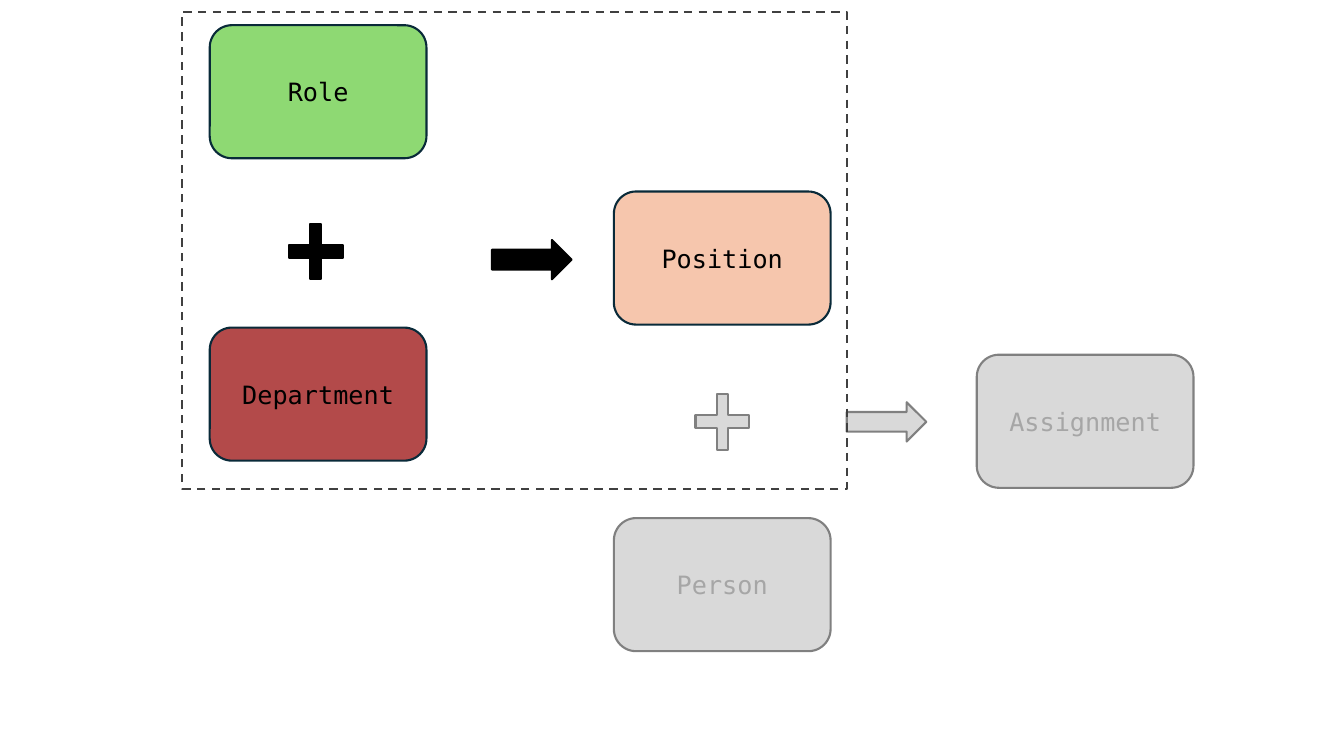
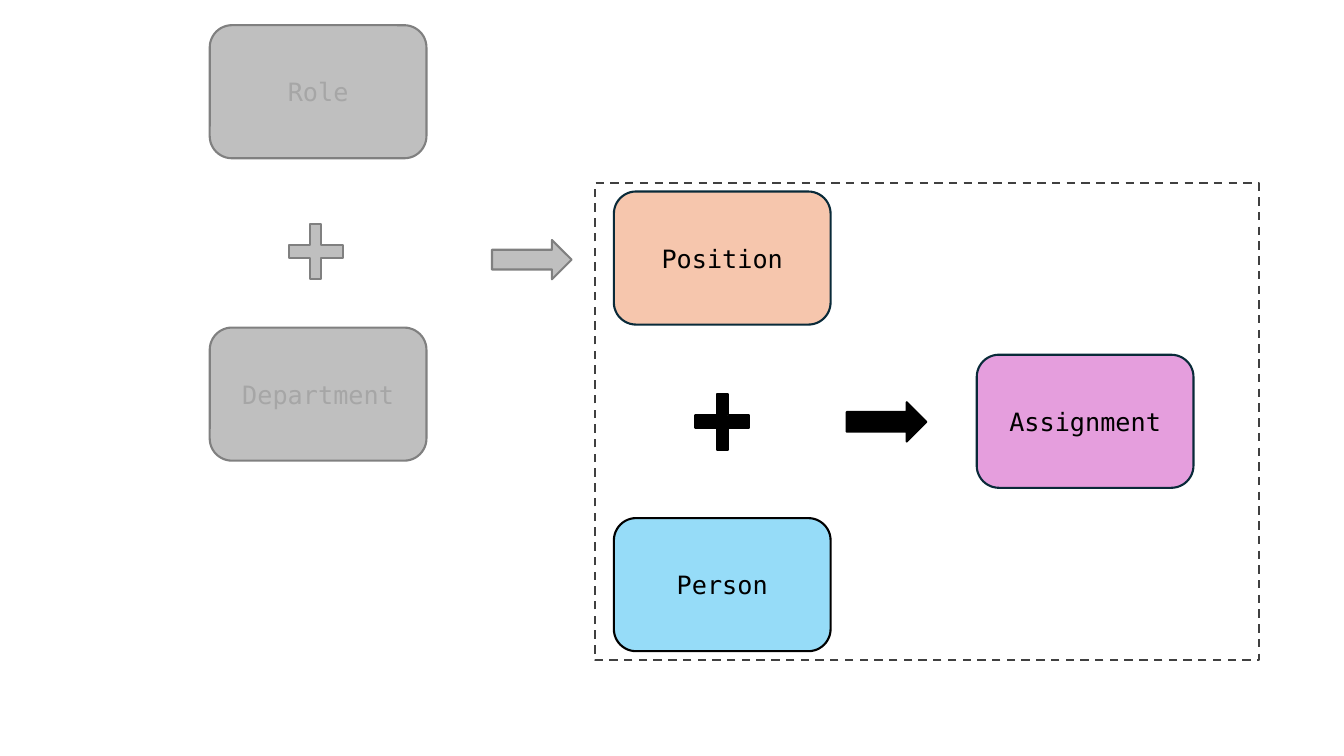
from lxml import etree
from pptx import Presentation
from pptx.dml.color import RGBColor
from pptx.enum.dml import MSO_LINE
from pptx.enum.shapes import MSO_SHAPE
from pptx.enum.text import MSO_ANCHOR, PP_ALIGN
from pptx.oxml.ns import qn
from pptx.util import Pt

ROUNDED, PLUS = MSO_SHAPE.ROUNDED_RECTANGLE, MSO_SHAPE.CROSS
ARROW, RECT = MSO_SHAPE.RIGHT_ARROW, MSO_SHAPE.RECTANGLE
DASH, MIDDLE, CENTER = MSO_LINE.DASH, MSO_ANCHOR.MIDDLE, PP_ALIGN.CENTER

FONT = "DejaVu Sans Mono"
BLACK, NAVY, GRAY, PALE_TEXT, FRAME_LINE = "000000", "092A39", "808080", "A6A6A6", "404040"
BOX_SIZE, PLUS_SIZE = (154.8, 95.04), (38.16, 39.6)
ARROW_SIZE, FRAME_SIZE = (56.88, 28.08), (474.48, 340.56)

BOXES = {
    "Role": dict(at=(149.8, 18), fill="8ED973", line=NAVY),
    "Department": dict(at=(149.8, 234), fill="940000", line=NAVY, alpha=71),
    "Position": dict(at=(438.5, 136.8), fill="F6C6AD", line=NAVY),
    "Person": dict(at=(438.5, 370.1), fill="96DCF8", line=BLACK),
    "Assignment": dict(at=(697.7, 253.4), fill="E59EDD", line=NAVY),
}
STEPS = [
    dict(boxes=("Role", "Department", "Position"), plus=(206.6, 159.8),
         arrow=(351.4, 171.4), frame=(130.3, 8.6), muted="D9D9D9"),
    dict(boxes=("Position", "Person", "Assignment"), plus=(496.8, 281.5),
         arrow=(604.8, 287.3), frame=(424.8, 131), muted="BFBFBF"),
]


def rgb(color):
    return RGBColor.from_string(color)


def add_shape(s, kind, at, size, line, fill=None, alpha=None, dash=None):
    sp = s.shapes.add_shape(kind, *map(Pt, at + size))
    sp.shadow.inherit = False
    sp.line.color.rgb = rgb(line)
    sp.line.width = Pt(1.5)
    if dash:
        sp.line.dash_style = dash
    if fill:
        sp.fill.solid()
        sp.fill.fore_color.rgb = rgb(fill)
    else:
        sp.fill.background()
    if alpha:
        color = sp.fill._xPr.find(qn("a:solidFill"))[0]
        etree.SubElement(color, qn("a:alpha")).set("val", str(alpha * 1000))
    return sp


def set_text(sp, text, color, size=18):
    tf = sp.text_frame
    tf.word_wrap = True
    tf.vertical_anchor = MIDDLE
    p = tf.paragraphs[0]
    p.alignment = CENTER
    r = p.add_run()
    r.text = text
    r.font.name = FONT
    r.font.size = Pt(size)
    r.font.color.rgb = rgb(color)


def build_slide(prs, current):
    s = prs.slides.add_slide(prs.slide_layouts[6])
    muted = dict(fill=current["muted"], line=GRAY)
    for name, box in BOXES.items():
        active = name in current["boxes"]
        style = box if active else box | muted | dict(alpha=None)
        sp = add_shape(s, ROUNDED, size=BOX_SIZE, **style)
        set_text(sp, name, BLACK if active else PALE_TEXT)
    for step in STEPS:
        style = dict(fill=BLACK, line=BLACK) if step is current else muted
        plus = add_shape(s, PLUS, step["plus"], PLUS_SIZE, **style)
        plus.adjustments[0] = 0.396
        add_shape(s, ARROW, step["arrow"], ARROW_SIZE, **style)
    add_shape(s, RECT, current["frame"], FRAME_SIZE, FRAME_LINE, dash=DASH)


def main():
    prs = Presentation()
    prs.slide_width, prs.slide_height = Pt(960), Pt(540)
    for step in STEPS:
        build_slide(prs, step)
    prs.save("out.pptx")


if __name__ == "__main__":
    main()
